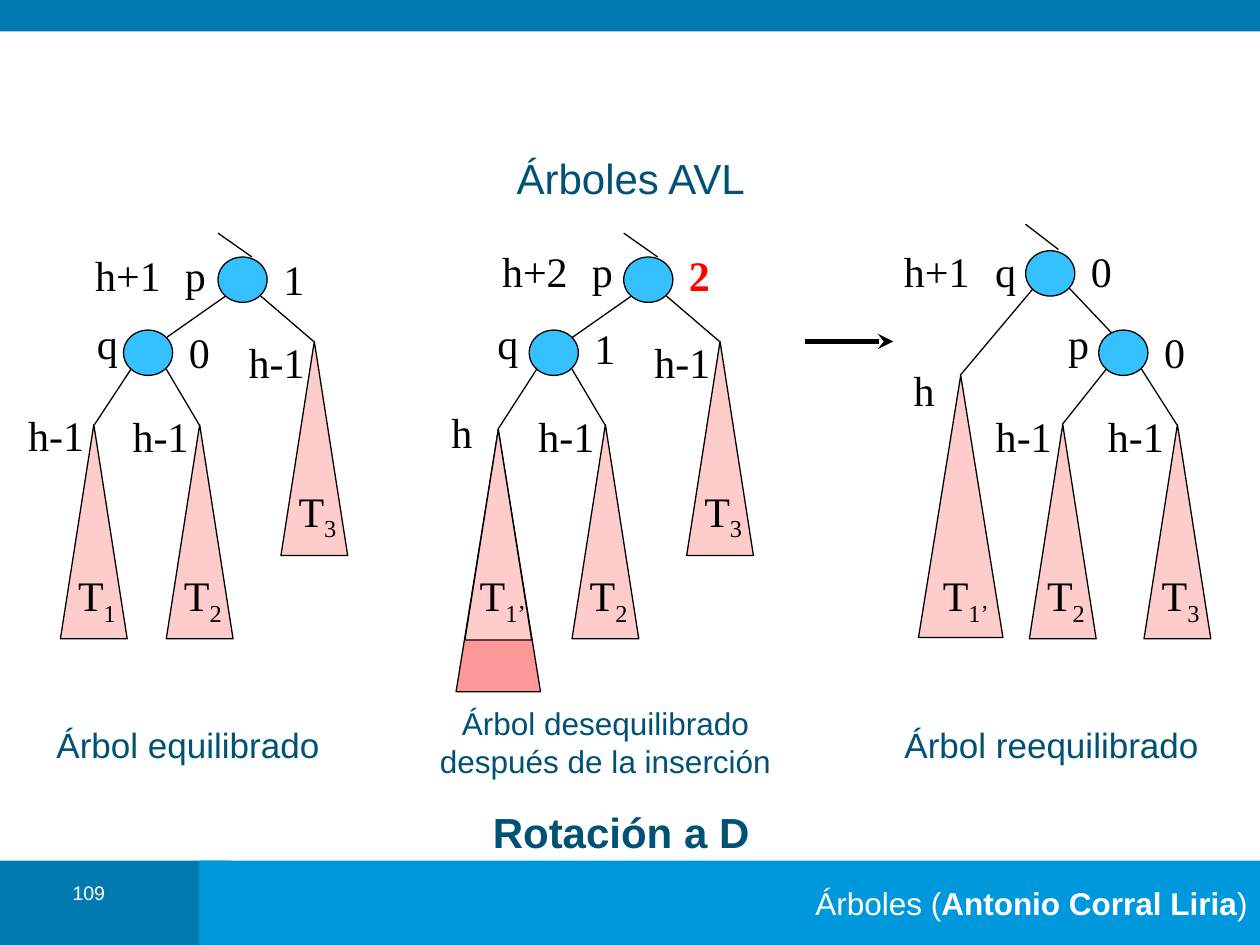
"""Build the slide on AVL trees and the right rotation."""
import pptx
import pptx.util
import pptx.dml.color
import pptx.enum.shapes
import pptx.enum.text
import lxml.etree

RGB = pptx.dml.color.RGBColor
DARK = RGB(0x00, 0x7A, 0xB1)
BLUE = RGB(0x00, 0x98, 0xDC)
SKY = RGB(0x35, 0xC0, 0xFF)
NAVY = RGB(0x00, 0x51, 0x76)
PINK = RGB(0xFF, 0xCC, 0xCC)
ROSE = RGB(0xFF, 0x99, 0x99)
RED = RGB(0xFF, 0x00, 0x00)
BLACK = RGB(0x00, 0x00, 0x00)
WHITE = RGB(0xFF, 0xFF, 0xFF)
KIND = pptx.enum.shapes.MSO_SHAPE
SIDE = pptx.enum.text.PP_ALIGN
MID = pptx.enum.text.MSO_ANCHOR.MIDDLE
TOP = pptx.enum.text.MSO_ANCHOR.TOP
NS = "{http://schemas.openxmlformats.org/drawingml/2006/main}"

deck = pptx.Presentation()
deck.slide_width = pptx.util.Inches(10)
deck.slide_height = pptx.util.Inches(7.5)
COL = deck.slide_width / 100
ROW = deck.slide_height / 75
shapes = deck.slides.add_slide(deck.slide_layouts[6]).shapes


def draw(kind, x, y, w, h, fill, edge=None):
    item = shapes.add_shape(kind, int(x * COL), int(y * ROW), int(w * COL), int(h * ROW))
    item.shadow.inherit = False
    item.fill.solid()
    item.fill.fore_color.rgb = fill
    if edge is None:
        item.line.fill.background()
    else:
        item.line.color.rgb = edge
        item.line.width = pptx.util.Pt(0.75)
    return item


def write(x, y, w, h, runs, size, color, name="Arial", align=SIDE.CENTER, anchor=TOP, wrap=True):
    box = shapes.add_textbox(int(x * COL), int(y * ROW), int(w * COL), int(h * ROW))
    frame = box.text_frame
    for key, val in {"word_wrap": wrap, "vertical_anchor": anchor}.items():
        setattr(frame, key, val)
    para = frame.paragraphs[0]
    para.alignment = align
    for words, bold, low in runs:
        run = para.add_run()
        run.text = words
        form = {"name": name, "size": pptx.util.Pt(size), "bold": bold}
        for key, val in form.items():
            setattr(run.font, key, val)
        run.font.color.rgb = color
        if low:
            run.font._element.set("baseline", "-25000")
    return para


for x, y, w, h, fill in [(0, 68.3, 18.3, 6.7, DARK), (15.8, 68.3, 84.2, 6.7, BLUE), (0, 0, 100, 2.5, DARK)]:
    draw(KIND.RECTANGLE, x, y, w, h, fill)

nodes = [(81.4, 19.9), (87.2, 26.2)]
edges = [(84, 19.8, 81.4, 17.8), (82, 22.9, 76.2, 29.8), (84.7, 22.7, 88.3, 26.5),
         (87.8, 29.3, 84.3, 33.7), (90.6, 29.3, 93.4, 33.7),
         (10.4, 29.3, 7.5, 33.7), (42.6, 29.3, 39.5, 34.1)]
cones = [(36.2, 34.1, 6.7, 20.8, ROSE), (36.9, 34.1, 5.3, 16.7, PINK),
         (4.8, 33.7, 5.3, 17, PINK), (72.9, 29.8, 6.7, 20.8, PINK),
         (81.7, 33.7, 5.3, 17, PINK), (90.8, 33.7, 5.3, 17, PINK)]
names = [(4.8, 44.7, 5.8, "1"), (36.9, 44.7, 6, "1’"), (72.5, 44.7, 8.3, "1’"),
         (81.7, 44.7, 5.8, "2"), (90.8, 44.7, 5.8, "3")]
tags = [(5.9, 19.3, 8.5, "h+1"), (0.7, 32, 7.5, "h-1"), (38.2, 19, 8.5, "h+2"),
        (32.9, 31.8, 7.5, "h"), (70.1, 19, 8.5, "h+1"), (69.6, 28.4, 7.5, "h"),
        (77.5, 32.1, 7.5, "h-1"), (86.4, 32.1, 7.5, "h-1"),
        (13.7, 19.3, 3.6, "p"), (6.7, 24.7, 3.6, "q"), (21.5, 19.6, 3.6, "1"),
        (14, 25.4, 3.6, "0"), (46, 19, 3.6, "p"), (38.5, 24.7, 3.6, "q"),
        (53.7, 19.3, 3.6, "2"), (46.2, 25.1, 3.6, "1"), (78, 19, 3.6, "q"),
        (85.6, 19, 3.6, "0"), (83.8, 24.7, 3.6, "p"), (91.4, 25.4, 3.6, "0")]

for dx in (0, 32.2):
    nodes += [(17.3 + dx, 20.4), (9.8 + dx, 26.2)]
    edges += [(a + dx, b, c + dx, d) for a, b, c, d in [
        (17.9, 23.5, 13.2, 26.8), (20.7, 23.5, 24.9, 27.1),
        (20, 20.4, 17.3, 18.5), (13.2, 29.3, 15.8, 33.7)]]
    cones += [(x + dx, y, 5.3, 17, PINK) for x, y in [(22.3, 27.1), (13.2, 33.7)]]
    names += [(22.3 + dx, 38, 5.8, "3"), (13.2 + dx, 44.7, 5.8, "2")]
    tags += [(18.2 + dx, 26.2, 7.5, "h-1"), (9 + dx, 32.1, 7.5, "h-1")]

for edge in edges + [(63.9, 27.1, 70.9, 27.1)]:
    bold = edge not in edges
    a, b, c, d = edge
    line = shapes.add_connector(pptx.enum.shapes.MSO_CONNECTOR.STRAIGHT,
                                int(a * COL), int(b * ROW), int(c * COL), int(d * ROW))
    line.line.color.rgb = BLACK
    line.line.width = pptx.util.Pt(3 if bold else 0.75)
    if bold:
        lxml.etree.SubElement(line.line._get_or_add_ln(), NS + "tailEnd", type="stealth")
    lxml.etree.SubElement(line._element.spPr, NS + "effectLst")

for x, y in nodes:
    draw(KIND.OVAL, x, y, 3.9, 3.6, SKY, BLACK)
for cone in cones:
    draw(KIND.ISOSCELES_TRIANGLE, *cone, BLACK)
for x, y, w, sub in names:
    write(x, y, w, 5.6, [("T", False, False), (sub, False, True)], 24, BLACK,
          "Times New Roman", anchor=MID)
for x, y, w, tag in tags:
    hot = tag == "2"
    write(x, y, w, 5, [(tag, hot, False)], 24, RED if hot else BLACK,
          "Times New Roman", anchor=MID, wrap=w > 4)

for x, y, w, h, words, size, bold, align, anchor in [
        (8.3, 12, 83.5, 4.2, "Árboles AVL", 24, False, SIDE.CENTER, MID),
        (3.5, 56.9, 24.7, 4.4, "Árbol equilibrado", 20, False, SIDE.LEFT, TOP),
        (33.6, 55.4, 28.9, 10, "Árbol desequilibrado después de la inserción", 18, False, SIDE.CENTER, TOP),
        (70.8, 56.9, 27.4, 4.4, "Árbol reequilibrado", 20, False, SIDE.LEFT, TOP),
        (31.6, 63.5, 35.4, 5, "Rotación a D", 24, True, SIDE.CENTER, TOP)]:
    write(x, y, w, h, [(words, bold, False)], size, NAVY, align=align, anchor=anchor)

write(3.5, 69.8, 7.1, 3.2, [("109", False, False)], 11.2, WHITE).line_spacing = 0.8
write(15.8, 68.3, 84.2, 6.7,
      [("Árboles (", False, False), ("Antonio Corral Liria", True, False), (")", False, False)],
      18, WHITE, align=SIDE.RIGHT, anchor=MID)

deck.save("out.pptx")
